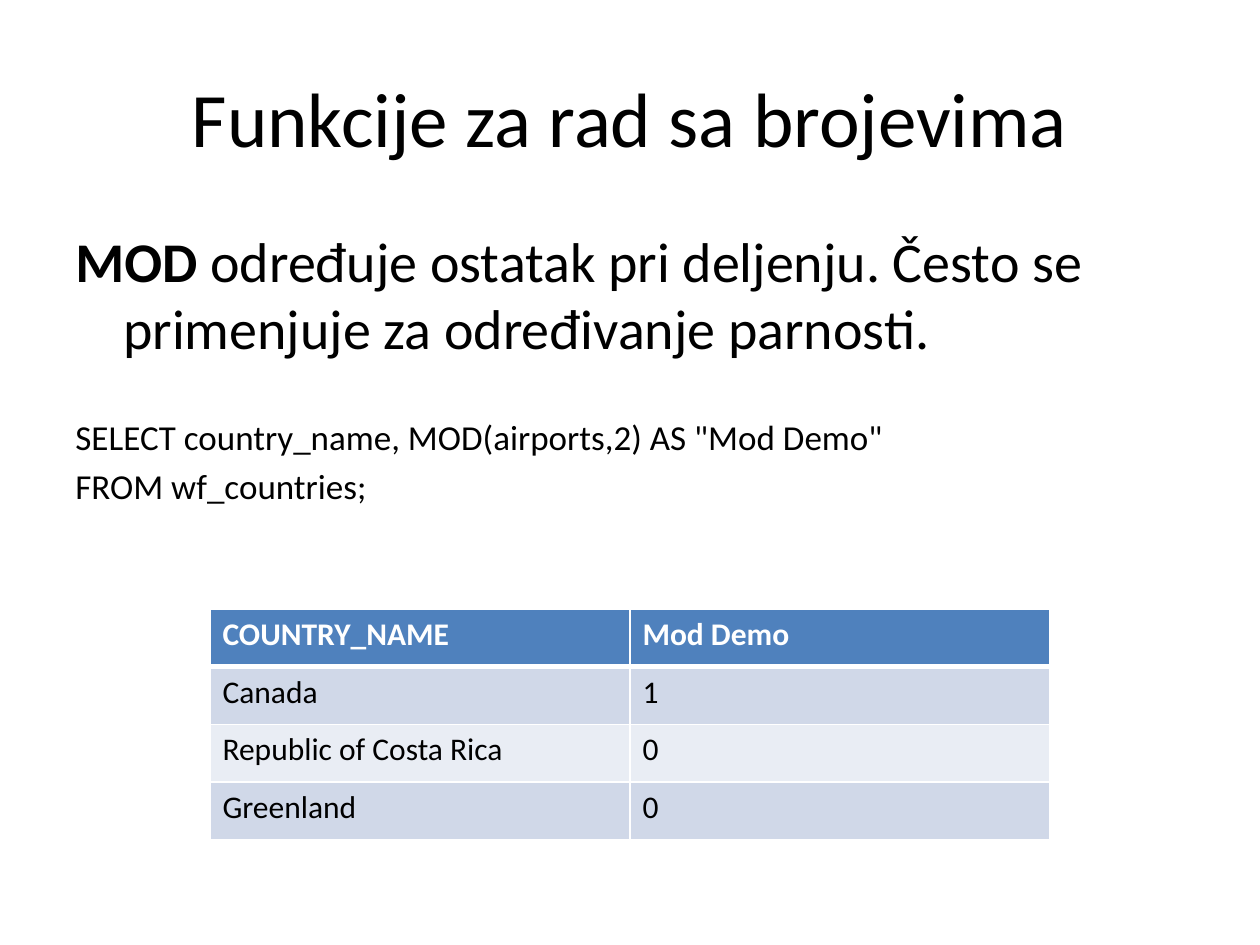
from dataclasses import dataclass

from lxml import etree
from pptx import Presentation
from pptx.dml.color import RGBColor
from pptx.enum.text import MSO_ANCHOR, PP_ALIGN
from pptx.oxml.ns import qn
from pptx.util import Inches, Pt

CENTER, LEFT = PP_ALIGN.CENTER, PP_ALIGN.LEFT
MIDDLE, TOP = MSO_ANCHOR.MIDDLE, MSO_ANCHOR.TOP
WIDTH, HEIGHT = Inches(10), Inches(7.5)
COLS, ROWS = 60, 90


@dataclass(frozen=True)
class Theme:
    font: str = "Calibri"
    text: str = "000000"
    light: str = "FFFFFF"
    header: str = "4F81BD"
    bands: tuple = ("D0D8E8", "E9EDF4")
    title: int = 44
    body: int = 32
    code: int = 20
    cell: int = 18
    rule: int = 1
    header_rule: int = 3


def add_run(p, text, font, size, color, bold=False):
    r = p.add_run()
    r.text = text
    r.font.name = font
    r.font.size = Pt(size)
    r.font.bold = bold
    r.font.color.rgb = RGBColor.from_string(color)


class Deck:
    def __init__(self, theme):
        self.theme = theme
        self.prs = Presentation()
        self.prs.slide_width, self.prs.slide_height = WIDTH, HEIGHT
        self.s = self.prs.slides.add_slide(self.prs.slide_layouts[6])

    def box(self, col, row, cols, rows):
        x, y = WIDTH / COLS, HEIGHT / ROWS
        return [round(v) for v in (col * x, row * y, cols * x, rows * y)]

    def text(self, place, paragraphs, align=LEFT, anchor=TOP, hanging=0):
        tf = self.s.shapes.add_textbox(*self.box(*place)).text_frame
        tf.word_wrap = True
        tf.vertical_anchor = anchor
        for i, (before, size, runs) in enumerate(paragraphs):
            p = tf.add_paragraph() if i else tf.paragraphs[0]
            p.alignment = align
            p.space_before = Pt(before)
            if hanging:
                pPr = p._p.get_or_add_pPr()
                pPr.set("marL", str(Inches(hanging)))
                pPr.set("indent", str(-Inches(hanging)))
            for text, bold in runs:
                add_run(p, text, self.theme.font, size, self.theme.text, bold)

    def borders(self, cell, widths):
        tcPr = cell._tc.get_or_add_tcPr()
        for i, (side, width) in enumerate(zip("LRTB", widths)):
            ln = etree.Element(qn(f"a:ln{side}"), w=str(Pt(width)))
            fill = etree.SubElement(ln, qn("a:solidFill"))
            etree.SubElement(fill, qn("a:srgbClr"), val=self.theme.light)
            tcPr.insert(i, ln)

    def table(self, place, data):
        t = self.theme
        shape = self.s.shapes.add_table(len(data), len(data[0]), *self.box(*place))
        for i, values in enumerate(data):
            head = i == 0
            fill = t.header if head else t.bands[(i - 1) % 2]
            top = t.header_rule if i == 1 else t.rule
            bottom = t.header_rule if head else t.rule
            for j, value in enumerate(values):
                cell = shape.table.cell(i, j)
                cell.fill.solid()
                cell.fill.fore_color.rgb = RGBColor.from_string(fill)
                self.borders(cell, (t.rule, t.rule, top, bottom))
                color = t.light if head else t.text
                add_run(cell.text_frame.paragraphs[0], value, t.font, t.cell, color, head)


def main():
    t = Theme()
    deck = Deck(t)
    deck.text((3, 3.6, 54, 15), [(0, t.title, [("Funkcije za rad sa brojevima", False)])],
              align=CENTER, anchor=MIDDLE)
    deck.text((3, 21, 54, 59.4), [
        (0, t.body, [
            ("MOD", True),
            (" određuje ostatak pri deljenju. Često se primenjuje za određivanje parnosti.", False),
        ]),
        (31, t.code, [('SELECT country_name, MOD(airports,2) AS "Mod Demo"', False)]),
        (4, t.code, [("FROM wf_countries;", False)]),
    ], hanging=0.38)
    deck.table((10, 58, 40, 22), [
        ("COUNTRY_NAME", "Mod Demo"),
        ("Canada", "1"),
        ("Republic of Costa Rica", "0"),
        ("Greenland", "0"),
    ])
    deck.prs.save("out.pptx")


if __name__ == "__main__":
    main()
